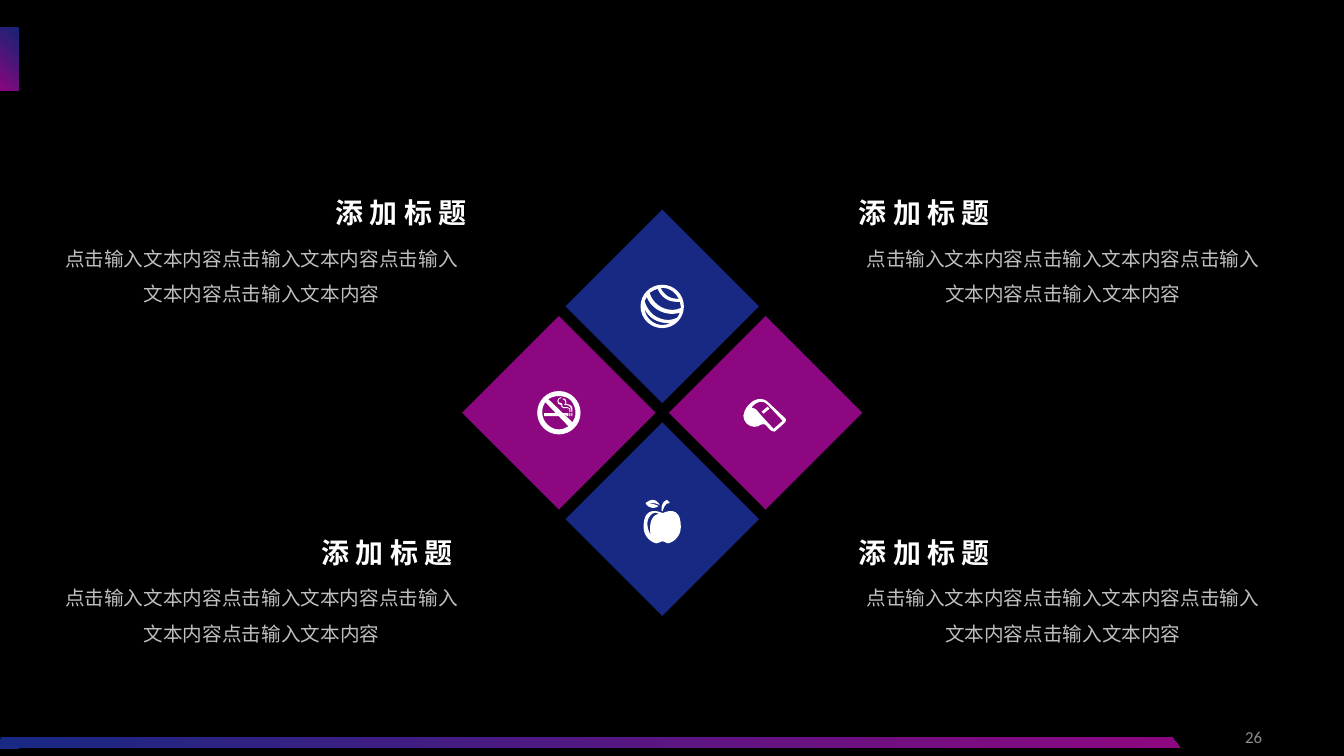
from lxml import etree
from pptx import Presentation
from pptx.dml.color import RGBColor
from pptx.enum.shapes import MSO_SHAPE
from pptx.enum.text import MSO_ANCHOR, MSO_AUTO_SIZE, PP_ALIGN
from pptx.oxml.ns import qn
from pptx.util import Inches, Pt

RECTANGLE, DIAMOND = MSO_SHAPE.RECTANGLE, MSO_SHAPE.DIAMOND
PARALLELOGRAM = MSO_SHAPE.PARALLELOGRAM
LEFT, CENTER, RIGHT = PP_ALIGN.LEFT, PP_ALIGN.CENTER, PP_ALIGN.RIGHT
MIDDLE, TOP = MSO_ANCHOR.MIDDLE, MSO_ANCHOR.TOP
FIT_SHAPE, FIXED_SIZE = MSO_AUTO_SIZE.SHAPE_TO_FIT_TEXT, MSO_AUTO_SIZE.NONE

BLACK = RGBColor(0x00, 0x00, 0x00)
WHITE = RGBColor(0xFF, 0xFF, 0xFF)
BLUE = RGBColor(0x18, 0x29, 0x83)
CORNER_BLUE = RGBColor(0x1A, 0x29, 0x83)
PURPLE = RGBColor(0x8D, 0x07, 0x80)
LIGHT_GRAY = RGBColor(0xBF, 0xBF, 0xBF)
GRAY = RGBColor(0x8C, 0x8C, 0x8C)
CHINESE_FONT, NUMBER_FONT = "Noto Sans CJK SC", "Calibri"

HEIGHT = 7.5
WIDTH = HEIGHT * 16 / 9
CENTER_X, TOP_Y = 6.57, 3.04
STEP_X, STEP_Y, DIAMOND_SIZE = 2.05 / 2, 2.11 / 2, 1.92
TEXT_WIDTH, TITLE_WIDTH = 4.25, 1.58
LEFT_COLUMN, RIGHT_COLUMN = 0.47, 8.42
TOP_ROW, BOTTOM_ROW = 1.89, 5.26
TITLE = "添 加 标 题"
BODY = "点击输入文本内容" * 4

# Icon outlines in hundredths of an inch: each contour is a start point, then
# line ends (x, y) and Bézier segments (two control points and an end).
DISC = ((21.5, 43), (9.6, 43, 0, 33.4, 0, 21.5), (0, 9.6, 9.6, 0, 21.5, 0),
        (33.4, 0, 43, 9.6, 43, 21.5), (43, 33.4, 33.4, 43, 21.5, 43))
BALL = (43, 43, (
    DISC,
    ((36, 33), (37, 32, 38, 30, 39, 28), (37, 28, 34, 29, 32, 29), (20, 29, 10, 22, 6, 12),
     (6, 13, 5, 15, 4, 16), (7, 27, 16, 35, 28, 35), (30, 35, 33, 34, 36, 33)),
    ((32, 25), (35, 25, 38, 24, 40, 23), (40, 23, 40, 22, 40, 22), (40, 20, 40, 19, 39, 17),
     (38, 17, 37, 17, 36, 17), (27, 17, 20, 12, 17, 4), (14, 5, 12, 6, 9, 8),
     (12, 18, 21, 25, 32, 25)),
    ((22, 40), (25, 40, 27, 39, 30, 38), (29, 38, 28, 38, 27, 38), (17, 38, 8, 33, 4, 24),
     (5, 33, 13, 40, 22, 40)),
    ((22, 3), (21, 3, 20, 3, 20, 3), (23, 10, 29, 14, 36, 14), (37, 14, 38, 14, 38, 14),
     (35, 8, 29, 3, 22, 3)),
))
APPLE = (37, 48, (
    ((24, 48), (22, 48, 21, 46, 19, 46), (16, 46, 16, 48, 13, 48), (10, 48, 0, 43, 0, 32),
     (0, 8, 18, 18, 19, 18), (20, 18, 37, 8, 37, 32), (37, 43, 27, 48, 24, 48)),
    ((5, 23), (1, 31, 8, 41, 7, 40), (4, 19, 15, 19, 15, 19), (15, 19, 10, 14, 5, 23)),
    ((26, 8), (21, 7, 19, 16, 19, 16), (18, 16), (18, 16, 16, 8, 23, 5), (23, 4, 26, 8, 26, 8)),
    ((5, 8), (5, 8, 11, 9, 15, 11), (14, 12, 12, 13, 9, 13), (3, 12, 2, 8, 2, 8),
     (12, 0, 16, 10, 16, 10), (10, 7, 5, 8, 5, 8)),
))
WHISTLE = (44, 40, (
    ((41, 30), (32, 38), (32, 38, 30, 40, 28, 38), (26, 37, 23, 33, 23, 33),
     (23, 33, 21, 30, 17, 32), (16, 33, 14, 34, 11, 34), (5, 34, 0, 29, 0, 23),
     (0, 20, 2, 17, 3, 15), (14, 0, 24, 9, 24, 9), (41, 25), (41, 25, 44, 27, 41, 30)),
    ((24, 12), (16, 4, 8, 15, 8, 15), (8, 15, 10, 15, 13, 17), (15, 20, 30, 36, 30, 36),
     (39, 28), (39, 28, 23, 11, 24, 12)),
    ((18, 19), (24, 14), (26, 16), (20, 21)),
))
NO_SMOKING = (43, 43, (
    DISC,
    ((21, 38), (17, 38, 13, 36, 10, 33), (7, 30, 5, 26, 5, 21), (5, 17, 6, 14, 8, 11),
     (31, 35), (28, 37, 25, 38, 21, 38)),
    ((35, 31), (11, 8), (14, 6, 18, 5, 21, 5), (26, 5, 30, 6, 33, 9),
     (36, 12, 38, 17, 38, 21), (38, 25, 37, 28, 35, 31)),
    ((7, 25), (21, 25), (18, 22), (7, 22)),
    ((30, 25), (31, 25), (31, 22), (26, 22)),
    ((32, 25), (33, 25), (33, 22), (32, 22)),
    ((34, 25), (35, 25), (35, 22), (34, 22)),
    ((32, 17), (31, 16, 31, 16, 30, 16), (26, 16), (25, 16, 25, 15, 25, 13),
     (25, 12, 24, 12, 24, 12), (22, 12, 21, 11, 21, 10), (21, 8, 22, 7, 24, 7), (24, 6),
     (22, 6, 20, 8, 20, 10), (20, 12, 21, 14, 24, 14), (23, 14, 24, 17, 26, 17), (30, 17),
     (32, 17, 32, 18, 32, 19), (32, 21), (33, 21), (33, 19), (33, 17, 32, 17, 32, 17)),
    ((25, 8), (26, 8, 27, 9, 27, 9), (28, 10, 28, 10, 28, 11), (28, 12, 28, 13, 27, 13),
     (27, 14), (30, 14), (31, 14, 32, 15, 33, 16), (33, 17, 34, 18, 34, 19), (34, 21),
     (35, 21), (35, 19), (35, 17, 35, 16, 34, 15), (33, 14, 32, 13, 30, 13), (29, 13),
     (29, 11), (29, 10, 29, 9, 28, 8), (27, 7, 25, 7, 25, 8)),
))


def add_block(slide, kind, left, top, width, height, color=None):
    shape = slide.shapes.add_shape(kind, Inches(left), Inches(top), Inches(width), Inches(height))
    shape.shadow.inherit = False
    shape.line.fill.background()
    if color is not None:
        shape.fill.solid()
        shape.fill.fore_color.rgb = color
    return shape


def fill_gradient(shape, angle):
    shape.fill.gradient()
    shape.fill.gradient_angle = angle
    for stop, color in zip(shape.fill.gradient_stops, (BLUE, PURPLE)):
        stop.color.rgb = color


def add_command(outline, tag, numbers=()):
    """Append one drawing command, with its points in thousandths of an inch."""
    command = etree.SubElement(outline, qn(tag))
    for x, y in zip(numbers[::2], numbers[1::2]):
        etree.SubElement(command, qn("a:pt"), x=str(round(x * 10)), y=str(round(y * 10)))


def add_icon(slide, icon, center_x, center_y):
    """Frame the icon as a freeform, then fill the frame with its curved contours."""
    width, height, contours = icon
    right, bottom = width * 10, height * 10
    builder = slide.shapes.build_freeform(0, 0, scale=Inches(1) / 1000)
    builder.add_line_segments(((right, 0), (right, bottom), (0, bottom)))
    shape = builder.convert_to_shape(Inches(center_x - width / 200),
                                     Inches(center_y - height / 200))
    outline = next(shape._element.iter(qn("a:path")))
    for command in list(outline):
        outline.remove(command)
    for start, *segments in contours:
        add_command(outline, "a:moveTo", start)
        for segment in segments:
            add_command(outline, "a:lnTo" if len(segment) == 2 else "a:cubicBezTo", segment)
        add_command(outline, "a:close")
    shape.shadow.inherit = False
    shape.fill.solid()
    shape.fill.fore_color.rgb = WHITE
    shape.line.fill.background()


def add_text(slide, text, left, top, width, height, size, color, align,
             font=CHINESE_FONT, bold=False, spacing=1.0, wrap=True, anchor=TOP, fit=FIT_SHAPE):
    box = slide.shapes.add_textbox(Inches(left), Inches(top), Inches(width), Inches(height))
    frame = box.text_frame
    frame.word_wrap, frame.auto_size, frame.vertical_anchor = wrap, fit, anchor
    paragraph = frame.paragraphs[0]
    paragraph.text = text
    paragraph.alignment, paragraph.line_spacing = align, spacing
    paragraph.font.size, paragraph.font.bold = Pt(size), bold
    paragraph.font.color.rgb = color
    paragraph.font.name = font
    defaults = paragraph._p.pPr.find(qn("a:defRPr"))
    etree.SubElement(defaults, qn("a:ea")).set("typeface", font)


def add_decoration(slide):
    tab = add_block(slide, RECTANGLE, 0, 0.27, 0.18, 0.63)
    fill_gradient(tab, 225)
    first_color = next(tab._element.iter(qn("a:srgbClr")))
    etree.SubElement(first_color, qn("a:alpha")).set("val", "90000")
    add_text(slide, "26", 9.62, 7.11, 3, 0.4, 12, GRAY, RIGHT,
             font=NUMBER_FONT, anchor=MIDDLE, fit=FIXED_SIZE)
    bar = add_block(slide, PARALLELOGRAM, 0, 7.31, 11.71, 0.11)
    bar.adjustments[0] = 0.775
    fill_gradient(bar, 180)
    bar._element.spPr.find(qn("a:xfrm")).set("flipH", "1")
    add_block(slide, RECTANGLE, 0, 7.33, 0.19, 0.1, CORNER_BLUE)


def main():
    presentation = Presentation()
    presentation.slide_width, presentation.slide_height = Inches(WIDTH), Inches(HEIGHT)
    slide = presentation.slides.add_slide(presentation.slide_layouts[6])
    slide.background.fill.solid()
    slide.background.fill.fore_color.rgb = BLACK
    add_decoration(slide)

    for column, row, color, icon in ((0, 0, BLUE, BALL), (0, 2, BLUE, APPLE),
                                     (1, 1, PURPLE, WHISTLE), (-1, 1, PURPLE, NO_SMOKING)):
        x, y = CENTER_X + column * STEP_X, TOP_Y + row * STEP_Y
        add_block(slide, DIAMOND, x - DIAMOND_SIZE / 2, y - DIAMOND_SIZE / 2,
                  DIAMOND_SIZE, DIAMOND_SIZE, color)
        add_icon(slide, icon, x, y)

    for left, top, title_left, align in ((LEFT_COLUMN, TOP_ROW, 3.15, RIGHT),
                                         (RIGHT_COLUMN, TOP_ROW, RIGHT_COLUMN, LEFT),
                                         (RIGHT_COLUMN, BOTTOM_ROW, RIGHT_COLUMN, LEFT),
                                         (LEFT_COLUMN, BOTTOM_ROW, 3.01, RIGHT)):
        add_text(slide, BODY, left, top + 0.39, TEXT_WIDTH, 0.77, 14, LIGHT_GRAY, CENTER,
                 spacing=1.5)
        add_text(slide, TITLE, title_left, top, TITLE_WIDTH, 0.44, 20, WHITE, align,
                 bold=True, wrap=False)
    presentation.save("out.pptx")


if __name__ == "__main__":
    main()
